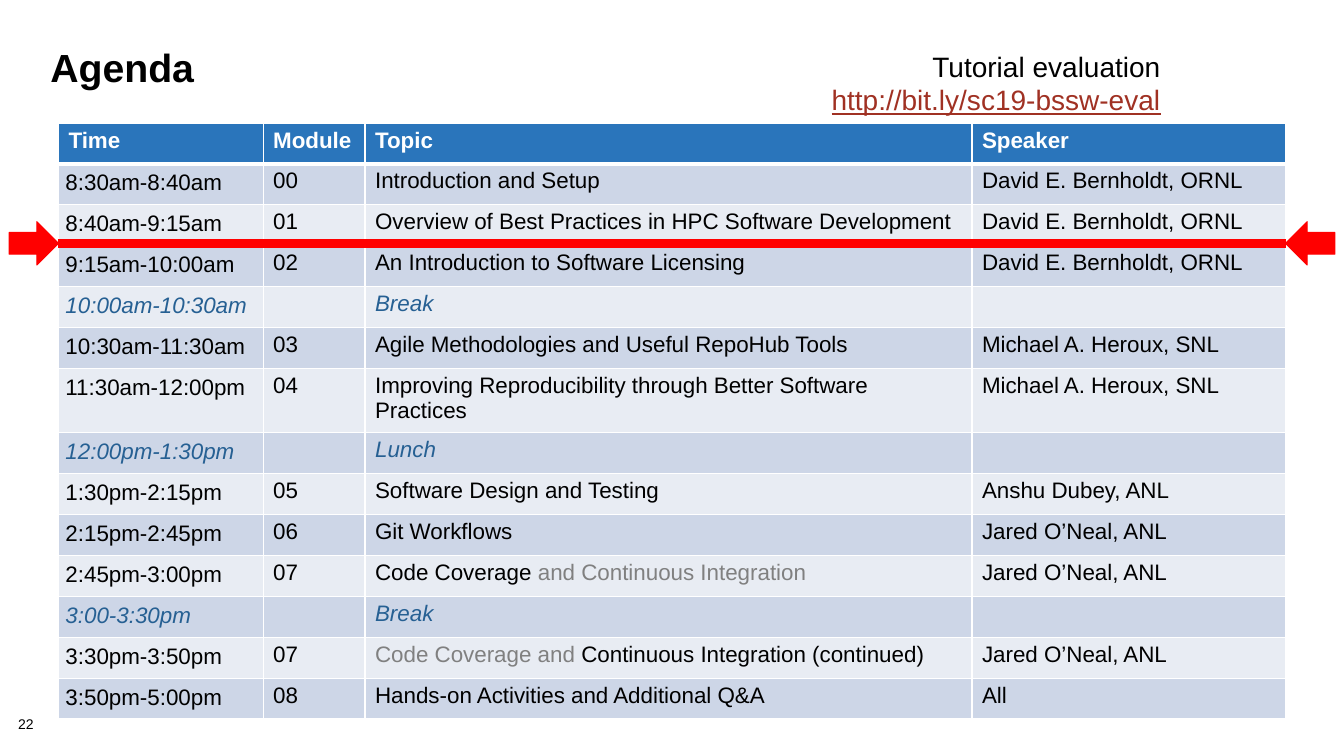
from pptx import Presentation
from pptx import util as u
from pptx.dml import color
from pptx.enum import shapes, text
from pptx.oxml import parse_xml
from pptx.oxml import ns

BLACK, WHITE, RED = "000000", "FFFFFF", "FF0000"
HEADER_FILL, BAND_FILLS = "2A75BB", ("CDD6E7", "E8ECF3")
PLAIN = {"size": u.Pt(16), "color": BLACK}
HEADER = {"size": u.Pt(16), "color": WHITE, "bold": True}
PAUSE = {"size": u.Pt(16), "color": "266093", "italic": True}
MUTED = {"size": u.Pt(16), "color": "808080"}
TIGHT = dict.fromkeys(("margin_left", "margin_top", "margin_right", "margin_bottom"), u.Inches(0.07))
FLUSH = dict.fromkeys(TIGHT, 0)

COLUMN_SHARES = (15.23, 7.58, 45.16, 23.33)
COLUMN_TITLES = ("Time", "Module", "Topic", "Speaker")
SESSIONS = [
    ("8:30am-8:40am", "00", "Introduction and Setup", "David E. Bernholdt, ORNL"),
    ("8:40am-9:15am", "01", "Overview of Best Practices in HPC Software Development", "David E. Bernholdt, ORNL"),
    ("9:15am-10:00am", "02", "An Introduction to Software Licensing", "David E. Bernholdt, ORNL"),
    ("10:00am-10:30am", "", "Break", ""),
    ("10:30am-11:30am", "03", "Agile Methodologies and Useful RepoHub Tools", "Michael A. Heroux, SNL"),
    ("11:30am-12:00pm", "04", "Improving Reproducibility through Better Software Practices", "Michael A. Heroux, SNL"),
    ("12:00pm-1:30pm", "", "Lunch", ""),
    ("1:30pm-2:15pm", "05", "Software Design and Testing", "Anshu Dubey, ANL"),
    ("2:15pm-2:45pm", "06", "Git Workflows", "Jared O’Neal, ANL"),
    ("2:45pm-3:00pm", "07", [("Code Coverage ", PLAIN), ("and Continuous Integration", MUTED)], "Jared O’Neal, ANL"),
    ("3:00-3:30pm", "", "Break", ""),
    ("3:30pm-3:50pm", "07", [("Code Coverage and ", MUTED), ("Continuous Integration (continued)", PLAIN)],
     "Jared O’Neal, ANL"),
    ("3:50pm-5:00pm", "08", "Hands-on Activities and Additional Q&A", "All"),
]


def rgb(value):
    return color.RGBColor.from_string(value)


def apply(target, values):
    for name, value in values.items():
        setattr(target, name, value)


class SlideBuilder:
    font = "Arial"

    def __init__(self, presentation):
        self.width = presentation.slide_width
        self.height = presentation.slide_height
        self.slide = presentation.slides.add_slide(presentation.slide_layouts[5])

    def across(self, percent):
        return u.Emu(round(self.width * percent / 100))

    def down(self, percent):
        return u.Emu(round(self.height * percent / 100))

    def box(self, left, top, width, height):
        return self.across(left), self.down(top), self.across(width), self.down(height)

    def run(self, paragraph, words, style):
        run = paragraph.add_run()
        run.text = words
        run.font.name = self.font
        for name, value in style.items():
            if name == "color":
                run.font.color.rgb = rgb(value)
            else:
                setattr(run.font, name, value)

    def title(self, words, place, style, frame_format, paragraph_format):
        shape = self.slide.shapes.title
        apply(shape, dict(zip(("left", "top", "width", "height"), self.box(*place))))
        apply(shape.text_frame, frame_format)
        paragraph = shape.text_frame.paragraphs[0]
        apply(paragraph, paragraph_format)
        self.run(paragraph, words, style)

    def text(self, lines, place, frame_format, paragraph_format):
        shape = self.slide.shapes.add_textbox(*self.box(*place))
        apply(shape.text_frame, frame_format)
        paragraph = shape.text_frame.paragraphs[0]
        apply(paragraph, paragraph_format)
        for index, (words, style) in enumerate(lines):
            if index:
                paragraph.add_line_break()
            self.run(paragraph, words, style)

    def borders(self, cell, top, bottom):
        properties = cell._tc.get_or_add_tcPr()
        for side, points in (("L", 1), ("R", 1), ("T", top), ("B", bottom)):
            properties.append(parse_xml(
                f'<a:ln{side} {ns.nsdecls("a")} w="{u.Pt(points)}"><a:solidFill>'
                f'<a:srgbClr val="{WHITE}"/></a:solidFill></a:ln{side}>'))

    def cell(self, cell, content, style, fill, top, bottom):
        self.borders(cell, top, bottom)
        cell.fill.solid()
        cell.fill.fore_color.rgb = rgb(fill)
        pieces = [(content, style)] if isinstance(content, str) else content
        for words, piece_style in pieces:
            self.run(cell.text_frame.paragraphs[0], words, piece_style)

    def agenda(self, place, titles, sessions, shares):
        frame = self.slide.shapes.add_table(len(sessions) + 1, len(titles), *self.box(*place))
        table = frame.table
        for column, share in zip(table.columns, shares):
            column.width = self.across(share)
        for index, words in enumerate(titles):
            self.cell(table.cell(0, index), words, HEADER, HEADER_FILL, 1, 3)
        for row, session in enumerate(sessions, 1):
            style = PLAIN if session[1] else PAUSE
            for index, content in enumerate(session):
                self.cell(table.cell(row, index), content, style,
                          BAND_FILLS[(row - 1) % 2], 3 if row == 1 else 1, 1)
            apply(table.cell(row, 0), TIGHT)

    def arrow(self, kind, place):
        shape = self.slide.shapes.add_shape(kind, *self.box(*place))
        shape.shadow.inherit = False
        shape.fill.solid()
        shape.fill.fore_color.rgb = rgb(RED)
        shape.line.color.rgb = rgb(RED)
        shape.line.width = u.Pt(0.75)
        return shape

    def join(self, start, start_site, end, end_site):
        line = self.slide.shapes.add_connector(shapes.MSO_CONNECTOR.STRAIGHT, 0, 0, 0, 0)
        line.begin_connect(start, start_site)
        line.end_connect(end, end_site)
        line.line.color.rgb = rgb(RED)
        line.line.width = u.Pt(6)
        line._element.spPr.append(parse_xml(f'<a:effectLst {ns.nsdecls("a")}/>'))


def main():
    presentation = Presentation()
    presentation.slide_width = u.Inches(13.33)
    presentation.slide_height = u.Inches(7.5)
    builder = SlideBuilder(presentation)

    builder.text([("22", {"size": u.Pt(10), "color": BLACK})], (1.35, 94.93, 4.2, 2.13),
                 {**FLUSH, "word_wrap": True}, {"line_spacing": 0.9})
    builder.title("Agenda", (3, 6, 93.32, 13.33), {"size": u.Pt(28), "color": BLACK, "bold": True},
                  {"vertical_anchor": text.MSO_ANCHOR.TOP, "auto_size": text.MSO_AUTO_SIZE.NONE},
                  {"alignment": text.PP_ALIGN.LEFT, "line_spacing": 0.85})
    builder.agenda((4.35, 16.27, 91.3, 75.6), COLUMN_TITLES, SESSIONS, COLUMN_SHARES)

    left_arrow = builder.arrow(shapes.MSO_SHAPE.RIGHT_ARROW, (0.68, 29.33, 3.67, 5.73))
    right_arrow = builder.arrow(shapes.MSO_SHAPE.LEFT_ARROW, (95.65, 29.33, 3.67, 5.73))
    builder.join(left_arrow, 3, right_arrow, 1)

    builder.text([("Tutorial evaluation", {"size": u.Pt(20), "color": BLACK}),
                  ("http://bit.ly/sc19-bssw-eval", {"size": u.Pt(20), "color": "A03123", "underline": True})],
                 (60.92, 5.87, 26.18, 10.27),
                 {"word_wrap": False, "auto_size": text.MSO_AUTO_SIZE.SHAPE_TO_FIT_TEXT},
                 {"alignment": text.PP_ALIGN.RIGHT})
    presentation.save("out.pptx")


if __name__ == "__main__":
    main()
